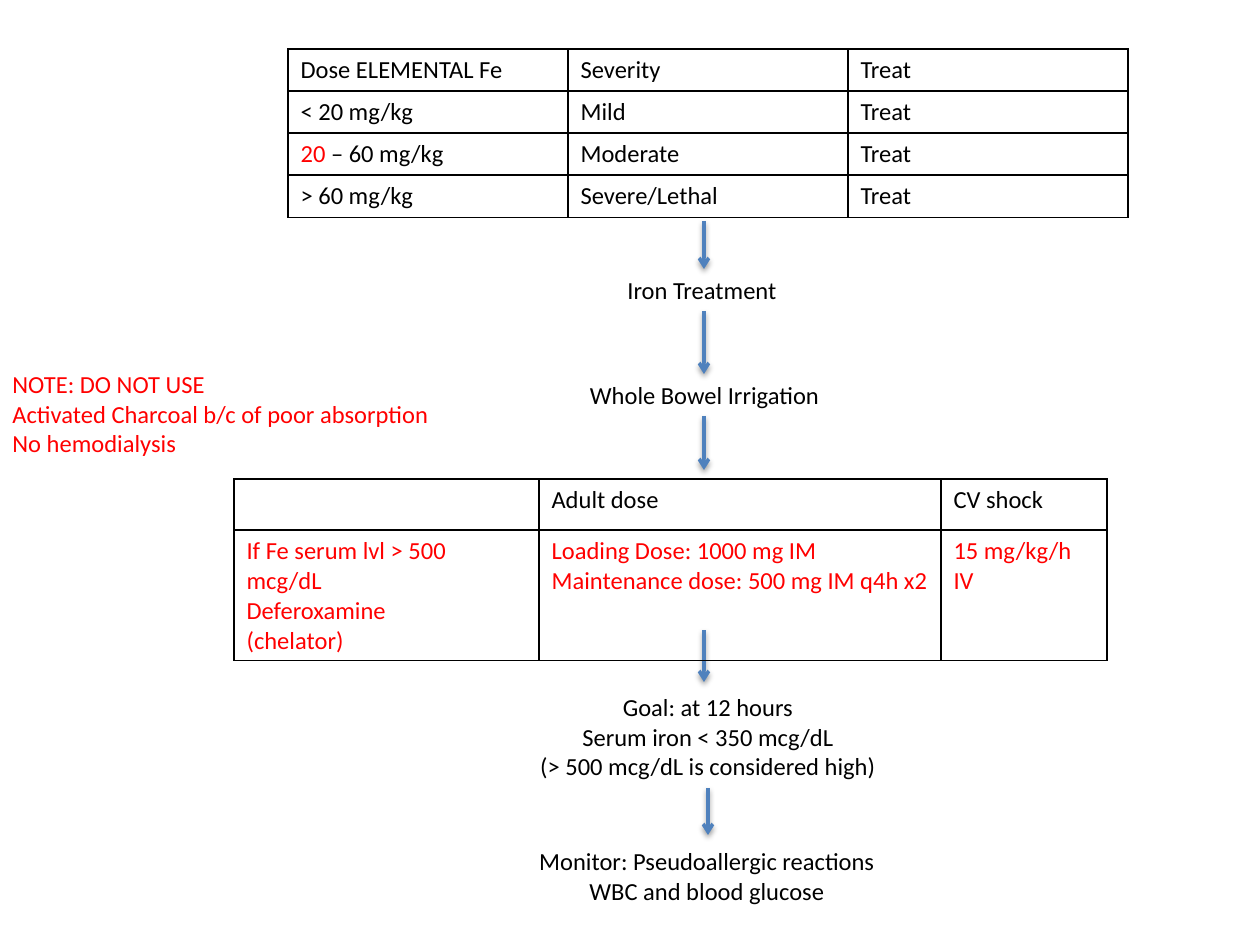
from dataclasses import dataclass

from lxml import etree
from pptx import Presentation
from pptx import util as u
from pptx.dml.color import RGBColor
from pptx.enum import shapes, text
from pptx.oxml import parse_xml
from pptx.oxml.ns import nsdecls, qn


@dataclass(frozen=True)
class Theme:
    font: str = "Calibri"
    size: int = 14
    ink: str = "000000"
    alert: str = "FF0000"
    arrow: str = "4F81BD"
    arrow_width: int = 2
    border_width: int = 1


THEME = Theme()
EMU_PER_PX = 914400 / 126  # 126 px to the inch
FLOW_X = 704  # centre line of the flow


def px(length):
    return u.Emu(round(length * EMU_PER_PX))


def write_lines(frame, lines, color, align=text.PP_ALIGN.LEFT):
    """Fill a frame; a line is a string or a list of (text, colour) runs."""
    for index, line in enumerate(lines):
        paragraph = frame.paragraphs[0] if index == 0 else frame.add_paragraph()
        paragraph.alignment = align
        for words, run_color in [(line, color)] if isinstance(line, str) else line:
            run = paragraph.add_run()
            run.text = words
            run.font.name = THEME.font
            run.font.size = u.Pt(THEME.size)
            run.font.color.rgb = RGBColor.from_string(run_color)


def add_note(slide, box, lines, color=THEME.ink, align=text.PP_ALIGN.CENTER):
    shape = slide.shapes.add_textbox(*map(px, box))
    frame = shape.text_frame
    frame.word_wrap = False
    frame.auto_size = text.MSO_AUTO_SIZE.SHAPE_TO_FIT_TEXT
    write_lines(frame, lines, color, align)


def add_arrow(slide, x, top, bottom):
    arrow = slide.shapes.add_connector(
        shapes.MSO_CONNECTOR.STRAIGHT, px(x), px(top), px(x), px(bottom))
    arrow.line.color.rgb = RGBColor.from_string(THEME.arrow)
    arrow.line.width = u.Pt(THEME.arrow_width)
    # Open arrowhead and soft shadow below
    etree.SubElement(arrow.line._get_or_add_ln(), qn("a:tailEnd"), type="arrow")
    arrow._element.spPr.append(parse_xml(
        f'<a:effectLst {nsdecls("a")}>'
        '<a:outerShdw blurRad="40000" dist="20000" dir="5400000" rotWithShape="0">'
        '<a:srgbClr val="000000"><a:alpha val="38000"/></a:srgbClr>'
        '</a:outerShdw></a:effectLst>'))


def add_borders(cell):
    properties = cell._tc.get_or_add_tcPr()
    for side in "LRTB":
        properties.append(parse_xml(
            f'<a:ln{side} {nsdecls("a")} w="{u.Pt(THEME.border_width)}">'
            f'<a:solidFill><a:srgbClr val="{THEME.ink}"/></a:solidFill></a:ln{side}>'))


def add_grid(slide, left, top, widths, heights, rows, row_colors):
    """Draw a bordered table; each cell holds a list of lines."""
    frame = slide.shapes.add_table(
        len(heights), len(widths), px(left), px(top), px(sum(widths)), px(sum(heights)))
    table = frame.table
    table.first_row = table.horz_banding = False
    for column, width in zip(table.columns, widths):
        column.width = px(width)
    for row, height, contents, color in zip(table.rows, heights, rows, row_colors):
        row.height = px(height)
        for cell, lines in zip(row.cells, contents):
            add_borders(cell)
            cell.fill.background()
            write_lines(cell.text_frame, lines, color)


def add_severity_table(slide, left, top):
    doses = [
        ("Dose ELEMENTAL Fe", "Severity"),
        ("< 20 mg/kg", "Mild"),
        ([("20", THEME.alert), (" – 60 mg/kg", THEME.ink)], "Moderate"),
        ("> 60 mg/kg", "Severe/Lethal"),
    ]
    rows = [[[dose], [severity], ["Treat"]] for dose, severity in doses]
    add_grid(slide, left, top, [280] * 3, [42] * 4, rows, [THEME.ink] * 4)


def add_chelator_table(slide, left, top):
    rows = [
        [[], ["Adult dose"], ["CV shock"]],
        [["If Fe serum lvl > 500 mcg/dL", "Deferoxamine", "(chelator)"],
         ["Loading Dose: 1000 mg IM", "Maintenance dose: 500 mg IM q4h x2"],
         ["15 mg/kg/h IV"]],
    ]
    add_grid(slide, left, top, [305, 402, 166], [51, 130], rows,
             [THEME.ink, THEME.alert])


def add_flow(slide):
    # Steps
    add_note(slide, (615, 269, 179, 43), ["Iron Treatment"], align=text.PP_ALIGN.LEFT)
    add_note(slide, (576, 374, 257, 43), ["Whole Bowel Irrigation"])
    add_note(slide, (524, 686, 368, 102), [
        "Goal: at 12 hours", "Serum iron < 350 mcg/dL",
        "(> 500 mcg/dL is considered high)"])
    add_note(slide, (525, 840, 364, 72), [
        "Monitor: Pseudoallergic reactions", "WBC and blood glucose"])
    # Arrows between the steps
    for x, top, bottom in [(FLOW_X, 221, 269), (FLOW_X, 311, 374), (FLOW_X, 416, 470),
                           (FLOW_X, 630, 682), (FLOW_X + 4, 788, 835)]:
        add_arrow(slide, x, top, bottom)


def main():
    presentation = Presentation()
    presentation.slide_width, presentation.slide_height = px(1260), px(945)
    slide = presentation.slides.add_slide(presentation.slide_layouts[6])
    add_flow(slide)
    # Warning beside the flow
    add_note(slide, (0, 363, 446, 102), [
        "NOTE: DO NOT USE", "Activated Charcoal b/c of poor absorption",
        "No hemodialysis"], THEME.alert, text.PP_ALIGN.LEFT)
    add_severity_table(slide, 288, 49)
    add_chelator_table(slide, 234, 479)
    presentation.save("out.pptx")


if __name__ == "__main__":
    main()
